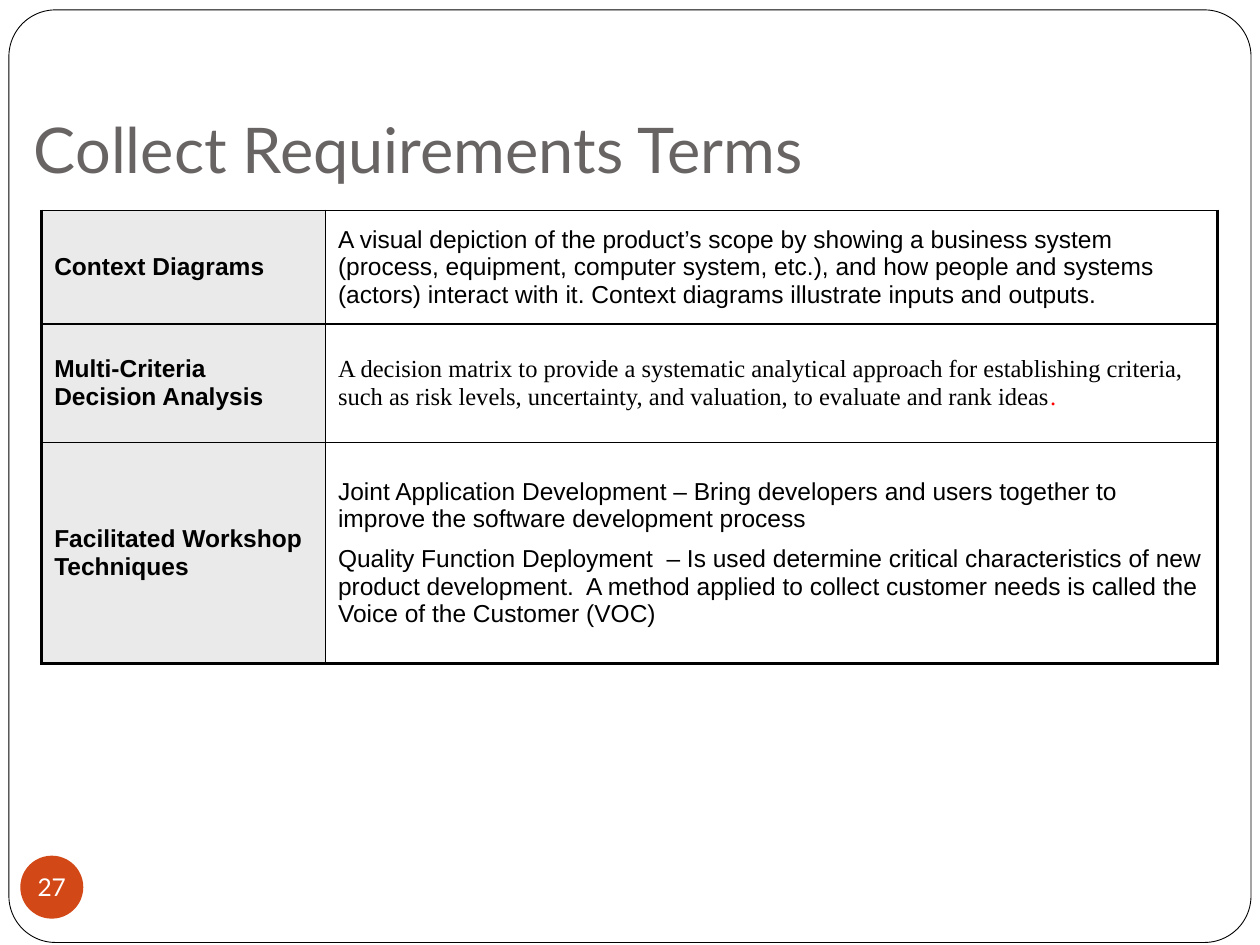
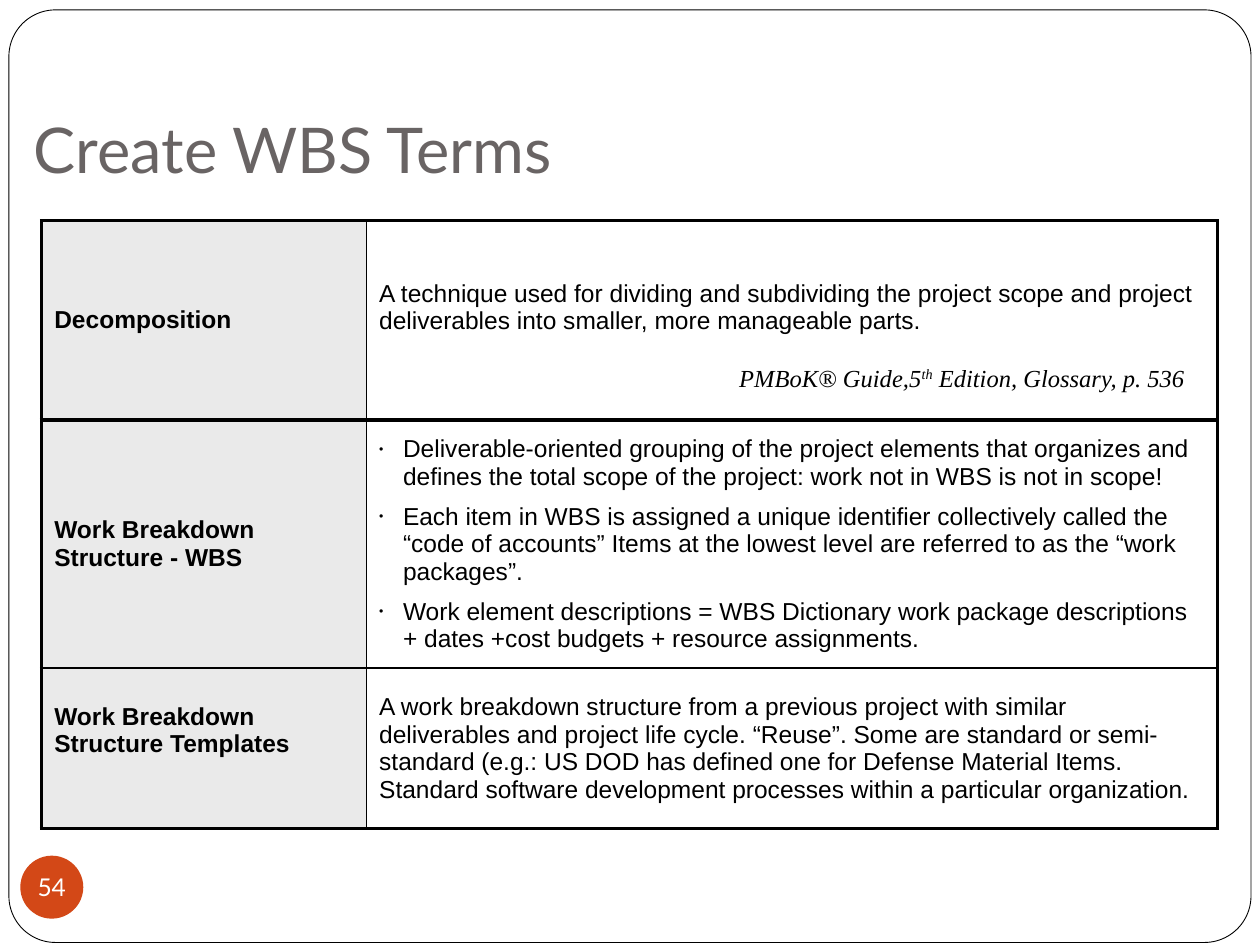
from lxml import etree
from pptx import Presentation
from pptx import util as u
from pptx.dml.color import RGBColor
from pptx.enum import shapes, text
from pptx.oxml import ns

COLOURS = {
    "ink": "000000",
    "paper": "FFFFFF",
    "title": "696464",
    "term": "EAEAEA",
    "badge": "D34817",
    "accent": "FF0000",
}
HEADING, BODY, SERIF = "Lato", "Arial", "Times New Roman"
THICK, THIN = 2.25, 1
TABLE_LEFT, TABLE_WIDTH = 0.84, 23.7


def colour(name):
    return RGBColor.from_string(COLOURS[name])


def add_xml(parent, tag, **attributes):
    return etree.SubElement(parent, ns.qn(tag), attributes)


class TermSlides:
    def __init__(self, deck):
        self.deck = deck
        self.slide = None

    def start(self, title, number):
        self.slide = self.deck.slides.add_slide(self.deck.slide_layouts[5])
        self.frame()
        self.title(title)
        self.badge(number)

    def shape(self, kind, left, top, width, height, fill):
        shape = self.slide.shapes.add_shape(
            kind, u.Cm(left), u.Cm(top), u.Cm(width), u.Cm(height))
        shape.shadow.inherit = False
        shape.fill.solid()
        shape.fill.fore_color.rgb = colour(fill)
        return shape

    def frame(self):
        frame = self.shape(shapes.MSO_SHAPE.ROUNDED_RECTANGLE, 0.18, 0.2, 25.04, 18.8, "paper")
        frame.adjustments[0] = 0.05
        frame.line.color.rgb = colour("ink")
        frame.line.width = u.Pt(0.5)
        self.slide.shapes._spTree.insert(2, frame._element)

    def title(self, words):
        box = self.slide.shapes.title
        box.left, box.top = u.Cm(0.43), u.Cm(2.74)
        box.width, box.height = u.Cm(24.13), u.Cm(1.27)
        frame = box.text_frame
        frame.text = words
        frame.auto_size = text.MSO_AUTO_SIZE.NONE
        frame.vertical_anchor = text.MSO_ANCHOR.BOTTOM
        frame.margin_bottom = u.Cm(0.25)
        frame.paragraphs[0].alignment = text.PP_ALIGN.LEFT
        self.style(frame.paragraphs[0].runs[0], HEADING, "title", 36)

    def badge(self, number):
        badge = self.shape(shapes.MSO_SHAPE.OVAL, 0.41, 17.25, 1.27, 1.27, "badge")
        badge.line.fill.background()
        frame = badge.text_frame
        frame.text = str(number)
        frame.word_wrap = False
        frame.margin_left = frame.margin_top = frame.margin_right = frame.margin_bottom = 0
        frame.vertical_anchor = text.MSO_ANCHOR.MIDDLE
        frame.paragraphs[0].alignment = text.PP_ALIGN.CENTER
        self.style(frame.paragraphs[0].runs[0], HEADING, "paper")

    def style(self, span, face=BODY, ink="ink", size=14, bold=False, italic=False):
        span.font.name = face
        span.font.size = u.Pt(size)
        span.font.bold = bold
        span.font.italic = italic
        span.font.color.rgb = colour(ink)

    def citation(self, before, raised, after):
        box = self.slide.shapes.add_textbox(u.Cm(14.17), u.Cm(7.19), u.Cm(9.96), u.Cm(0.86))
        box.text_frame.word_wrap = True
        para = box.text_frame.paragraphs[0]
        para.alignment = text.PP_ALIGN.RIGHT
        for words in (before, raised, after):
            span = para.add_run()
            span.text = words
            self.style(span, SERIF, italic=True)
        para.runs[1]._r.get_or_add_rPr().set("baseline", "30000")

    def table(self, top, term_width, heights, rows, top_border=THICK):
        table = self.slide.shapes.add_table(
            len(rows), 2, u.Cm(TABLE_LEFT), u.Cm(top),
            u.Cm(TABLE_WIDTH), u.Cm(sum(heights))).table
        table.first_row = table.horz_banding = False
        table.columns[0].width = u.Cm(term_width)
        table.columns[1].width = u.Cm(TABLE_WIDTH - term_width)
        last = len(rows) - 1
        for index, (term, meaning) in enumerate(rows):
            table.rows[index].height = u.Cm(heights[index])
            above = THIN if index else top_border
            below = THICK if index == last else THIN
            term_cell, meaning_cell = table.cell(index, 0), table.cell(index, 1)
            self.cell(term_cell, [term], "term", (THICK, THIN, above, below), bold=True)
            self.cell(meaning_cell, meaning, "paper", (THIN, THICK, above, below))
        return table

    def cell(self, cell, lines, fill, widths, bold=False):
        cell.vertical_anchor = text.MSO_ANCHOR.MIDDLE
        cell.fill.solid()
        cell.fill.fore_color.rgb = colour(fill)
        cell.text_frame.text = "\n".join(lines)
        for index, para in enumerate(cell.text_frame.paragraphs):
            if index:
                para.space_before = u.Pt(7)
            self.style(para.runs[0], bold=bold)
        properties = cell._tc.get_or_add_tcPr()
        for index, (side, width) in enumerate(zip("LRTB", widths)):
            line = etree.Element(ns.qn(f"a:ln{side}"), w=str(u.Pt(width)))
            add_xml(add_xml(line, "a:solidFill"), "a:srgbClr", val=COLOURS["ink"])
            properties.insert(index, line)

    def bullets(self, cell):
        for para in cell.text_frame.paragraphs:
            properties = para._p.get_or_add_pPr()
            properties.set("marL", str(u.Cm(0.48)))
            properties.set("indent", str(-u.Cm(0.48)))
            add_xml(properties, "a:buSzPct", val="50000")
            add_xml(properties, "a:buFont", typeface=BODY)
            add_xml(properties, "a:buChar", char="•")


def collect_requirements(pages):
    pages.start("Collect Requirements Terms", 27)
    table = pages.table(4.24, 5.72, (2.29, 2.39, 4.45), [
        ("Context Diagrams", [
            "A visual depiction of the product’s scope by showing a business system (process, "
            "equipment, computer system, etc.), and how people and systems (actors) interact "
            "with it. Context diagrams illustrate inputs and outputs."]),
        ("Multi-Criteria Decision Analysis", [
            "A decision matrix to provide a systematic analytical approach for establishing "
            "criteria, such as risk levels, uncertainty, and valuation, to evaluate and rank ideas"]),
        ("Facilitated Workshop Techniques", [
            "Joint Application Development – Bring developers and users together to improve "
            "the software development process",
            "Quality Function Deployment  – Is used determine critical characteristics of new "
            "product development.  A method applied to collect customer needs is called the "
            "Voice of the Customer (VOC)"]),
    ], top_border=THIN)
    matrix = table.cell(1, 1).text_frame.paragraphs[0]
    pages.style(matrix.runs[0], SERIF)
    stop = matrix.add_run()
    stop.text = "."
    pages.style(stop, SERIF, "accent")


def create_wbs(pages):
    pages.start("Create WBS Terms", 54)
    decomposition = pages.table(4.45, 6.55, (4.02,), [
        ("Decomposition", [
            "A technique used for dividing and subdividing the project scope and project "
            "deliverables into smaller, more manageable parts."]),
    ])
    decomposition.cell(0, 1).margin_bottom = u.Cm(0.65)
    pages.citation("PMBoK® Guide,5", "th", " Edition, Glossary, p. 536")
    structure = pages.table(8.47, 6.55, (5, 3.23), [
        ("Work Breakdown Structure - WBS", [
            "Deliverable-oriented grouping of the project elements that organizes and defines "
            "the total scope of the project: work not in WBS is not in scope!",
            "Each item in WBS is assigned a unique identifier collectively called the “code of "
            "accounts” Items at the lowest level are referred to as the “work packages”.",
            "Work element descriptions = WBS Dictionary work package descriptions + dates "
            "+cost budgets + resource assignments."]),
        ("Work Breakdown Structure Templates", [
            "A work breakdown structure from a previous project with similar deliverables and "
            "project life cycle. “Reuse”. Some are standard or semi-standard (e.g.: US DOD has "
            "defined one for Defense Material Items.  Standard software development processes "
            "within a particular organization."]),
    ])
    pages.bullets(structure.cell(0, 1))
    structure.cell(1, 0).margin_bottom = u.Cm(0.85)


def main():
    deck = Presentation()
    deck.slide_width, deck.slide_height = u.Cm(25.4), u.Cm(19.05)
    pages = TermSlides(deck)
    collect_requirements(pages)
    create_wbs(pages)
    deck.save("out.pptx")


if __name__ == "__main__":
    main()
